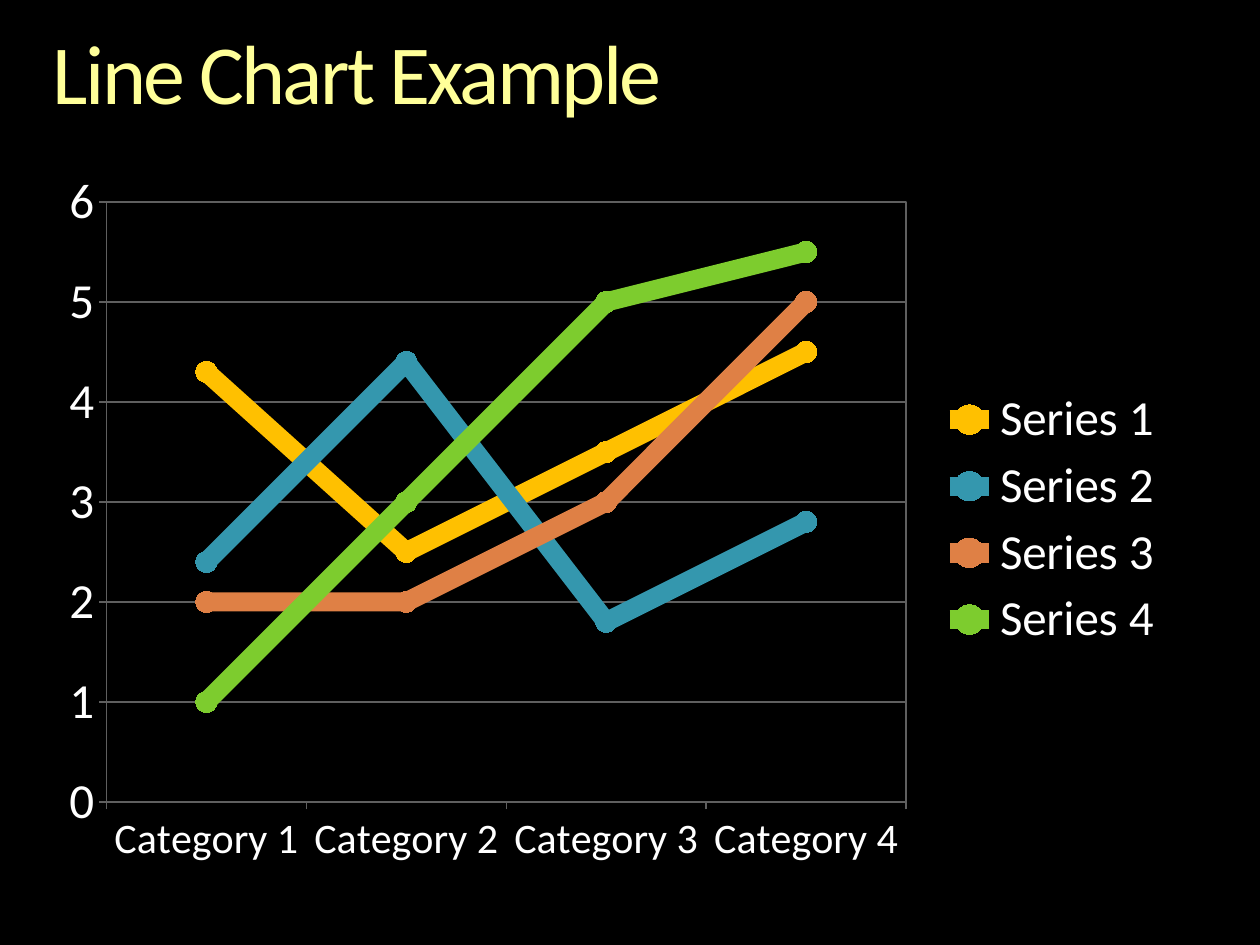
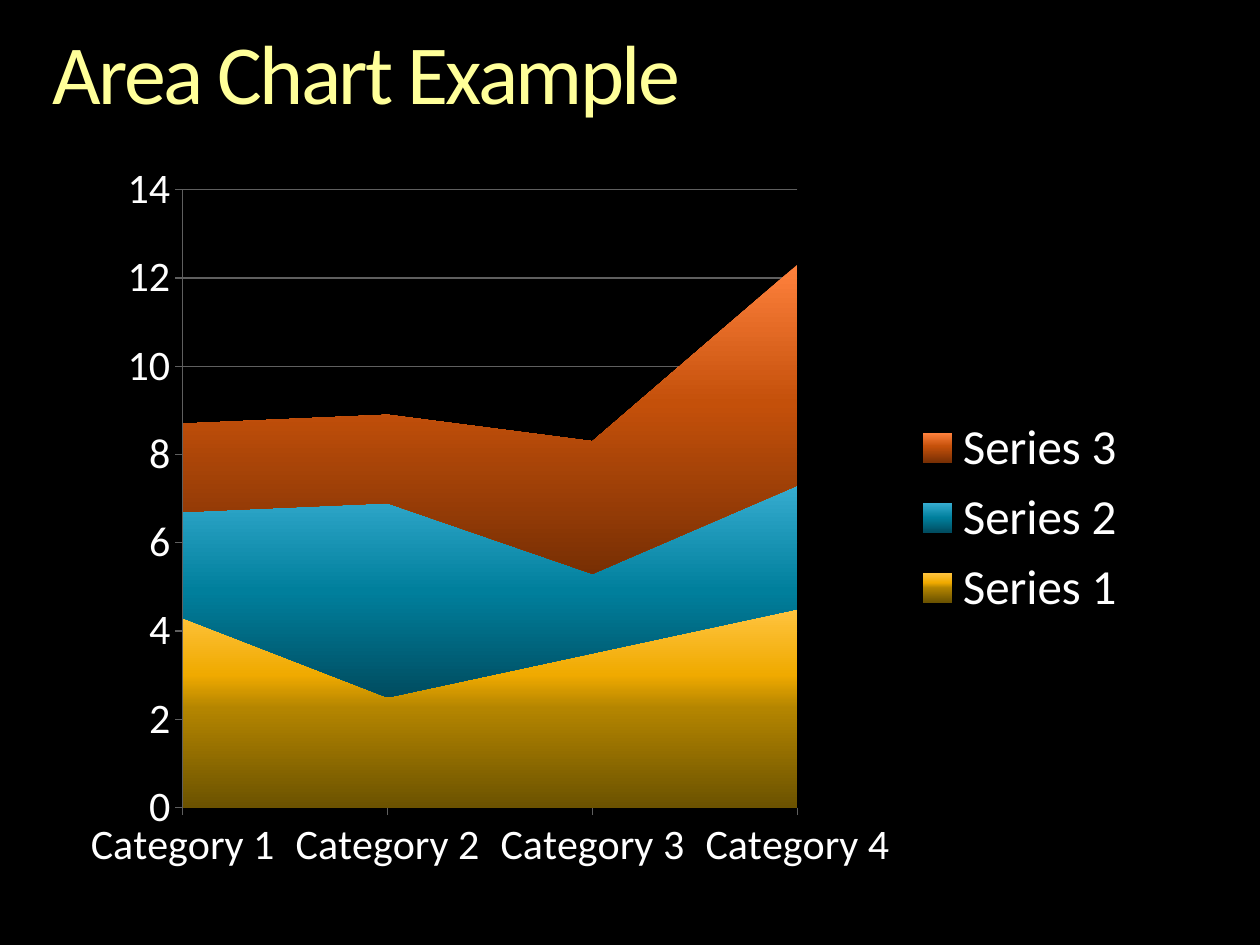
from dataclasses import dataclass

from lxml import etree
from pptx import Presentation
from pptx.chart.data import CategoryChartData
from pptx.dml.color import RGBColor
from pptx.enum.chart import XL_CHART_TYPE, XL_LEGEND_POSITION, XL_MARKER_STYLE, XL_TICK_MARK
from pptx.enum.text import MSO_ANCHOR, MSO_AUTO_SIZE, PP_ALIGN
from pptx.oxml import parse_xml
from pptx.oxml.ns import nsdecls, qn
from pptx.util import Inches, Pt

LINE = XL_CHART_TYPE.LINE_MARKERS
AREA = XL_CHART_TYPE.AREA_STACKED
RIGHT = XL_LEGEND_POSITION.RIGHT
CIRCLE = XL_MARKER_STYLE.CIRCLE
OUTSIDE = XL_TICK_MARK.OUTSIDE
NO_TICK = XL_TICK_MARK.NONE
TOP = MSO_ANCHOR.TOP
LEFT = PP_ALIGN.LEFT
GROW = MSO_AUTO_SIZE.SHAPE_TO_FIT_TEXT


@dataclass(frozen=True)
class Theme:
    font: str = "Calibri"
    background: str = "000000"
    title: str = "FFFF99"
    text: str = "FFFFFF"
    grid: str = "5F5F5F"
    series: tuple = ("FFC000", "3497AE", "DF8045", "7DCC2E")
    gradients: tuple = (
        ((0, "FFC440"), (33, "F0AA00"), (50, "B48500"), (100, "6B5200")),
        ((0, "36ACD0"), (50, "007F9C"), (100, "004C60")),
        ((0, "FF813D"), (45, "C4500A"), (100, "782F04")),
    )
    title_size: float = 48
    chart_size: float = 18
    category_size: float = 24
    legend_size: float = 28
    grid_width: float = 0.75
    series_width: float = 11
    marker_size: int = 12


theme = Theme()
categories = [f"Category {number}" for number in range(1, 5)]
values = [(4.3, 2.5, 3.5, 4.5), (2.4, 4.4, 1.8, 2.8), (2, 2, 3, 5), (1, 3, 5, 5.5)]
charts = [
    {
        "title": "Line Chart Example", "type": LINE, "series": 4,
        "box": (0.38, 1.26, 8.95, 5.73), "maximum": 6, "step": 1, "value_size": 28,
        "plot": (0.052, 0.06, 0.709, 0.831), "legend": (0.79, 0.31, 0.2, 0.38),
    },
    {
        "title": "Area Chart Example", "type": AREA, "series": 3,
        "box": (0.56, 1.19, 8.56, 5.84), "maximum": 14, "step": 2, "value_size": 24,
        "plot": (0.104, 0.054, 0.57, 0.84), "legend": (0.775, 0.35, 0.21, 0.3),
    },
]


def style_line(line, color, width):
    line.color.rgb = RGBColor.from_string(color)
    line.width = Pt(width)


def set_layout(element, box, inner):
    for old in element.findall(qn("c:layout")):
        element.remove(old)
    layout = etree.Element(qn("c:layout"))
    manual = etree.SubElement(layout, qn("c:manualLayout"))
    settings = [("layoutTarget", "inner")] if inner else []
    settings += [("xMode", "edge"), ("yMode", "edge"), *zip("xywh", box)]
    for name, value in settings:
        etree.SubElement(manual, qn(f"c:{name}")).set("val", str(value))
    element.insert(0 if inner else 1, layout)


presentation = Presentation()
presentation.slide_width = Inches(10)
presentation.slide_height = Inches(7.5)
background = presentation.slide_master.background.fill
background.solid()
background.fore_color.rgb = RGBColor.from_string(theme.background)

for content in charts:
    slide = presentation.slides.add_slide(presentation.slide_layouts[5])
    title = slide.shapes.title
    title.left, title.top, title.width, title.height = map(Inches, (0.42, 0.25, 9.17, 0.73))
    frame = title.text_frame
    frame_format = {
        "text": content["title"], "word_wrap": True, "auto_size": GROW,
        "vertical_anchor": TOP, "margin_left": 0, "margin_right": 0,
        "margin_top": 0, "margin_bottom": 0,
    }
    for name, value in frame_format.items():
        setattr(frame, name, value)
    paragraph = frame.paragraphs[0]
    paragraph.alignment = LEFT
    paragraph.line_spacing = 0.9
    run = paragraph.runs[0]
    run.font.name = theme.font
    run.font.size = Pt(theme.title_size)
    run.font.color.rgb = RGBColor.from_string(theme.title)
    run._r.get_or_add_rPr().set("spc", "-150")

    data = CategoryChartData()
    data.categories = categories
    for number, numbers in enumerate(values[:content["series"]], 1):
        data.add_series(f"Series {number}", numbers)
    chart = slide.shapes.add_chart(content["type"], *map(Inches, content["box"]), data).chart
    chart.has_title = False
    chart.font.name = theme.font
    chart.font.size = Pt(theme.chart_size)
    chart.font.color.rgb = RGBColor.from_string(theme.text)

    chart.has_legend = True
    chart.legend.position = RIGHT
    chart.legend.include_in_layout = False
    chart.legend.font.size = Pt(theme.legend_size)
    set_layout(chart.legend._element, content["legend"], False)

    category_axis, value_axis = chart.category_axis, chart.value_axis
    axis_sizes = ((category_axis, theme.category_size), (value_axis, content["value_size"]))
    for axis, size in axis_sizes:
        axis.major_tick_mark = OUTSIDE
        axis.minor_tick_mark = NO_TICK
        axis.tick_labels.font.size = Pt(size)
        style_line(axis.format.line, theme.grid, theme.grid_width)
    category_axis.has_major_gridlines = False
    scale = {
        "minimum_scale": 0, "maximum_scale": content["maximum"],
        "major_unit": content["step"], "has_major_gridlines": True,
    }
    for name, value in scale.items():
        setattr(value_axis, name, value)
    style_line(value_axis.major_gridlines.format.line, theme.grid, theme.grid_width)

    plot = chart.plots[0]
    plot.vary_by_categories = False
    plot_area = chart._chartSpace.chart.plotArea
    set_layout(plot_area, content["plot"], True)
    for index, series in enumerate(plot.series):
        color = theme.series[index]
        if content["type"] == LINE:
            series.smooth = False
            style_line(series.format.line, color, theme.series_width)
            series.marker.style = CIRCLE
            series.marker.size = theme.marker_size
            series.marker.format.fill.solid()
            series.marker.format.fill.fore_color.rgb = RGBColor.from_string(color)
            series.marker.format.line.fill.background()
        else:
            series.format.line.fill.background()
            stops = "".join(
                f'<a:gs pos="{position * 1000}"><a:srgbClr val="{shade}"/></a:gs>'
                for position, shade in theme.gradients[index]
            )
            gradient = parse_xml(
                f'<a:gradFill {nsdecls("a")} rotWithShape="1"><a:gsLst>{stops}</a:gsLst>'
                '<a:lin ang="5400000" scaled="0"/></a:gradFill>'
            )
            series._element.get_or_add_spPr().insert(0, gradient)

    if content["type"] == LINE:
        plot_area.append(parse_xml(
            f'<c:spPr {nsdecls("c", "a")}><a:noFill/><a:ln w="{Pt(theme.grid_width)}">'
            f'<a:solidFill><a:srgbClr val="{theme.grid}"/></a:solidFill></a:ln></c:spPr>'
        ))
    else:
        value_axis._element.find(qn("c:crossBetween")).set("val", "midCat")

presentation.save("out.pptx")
